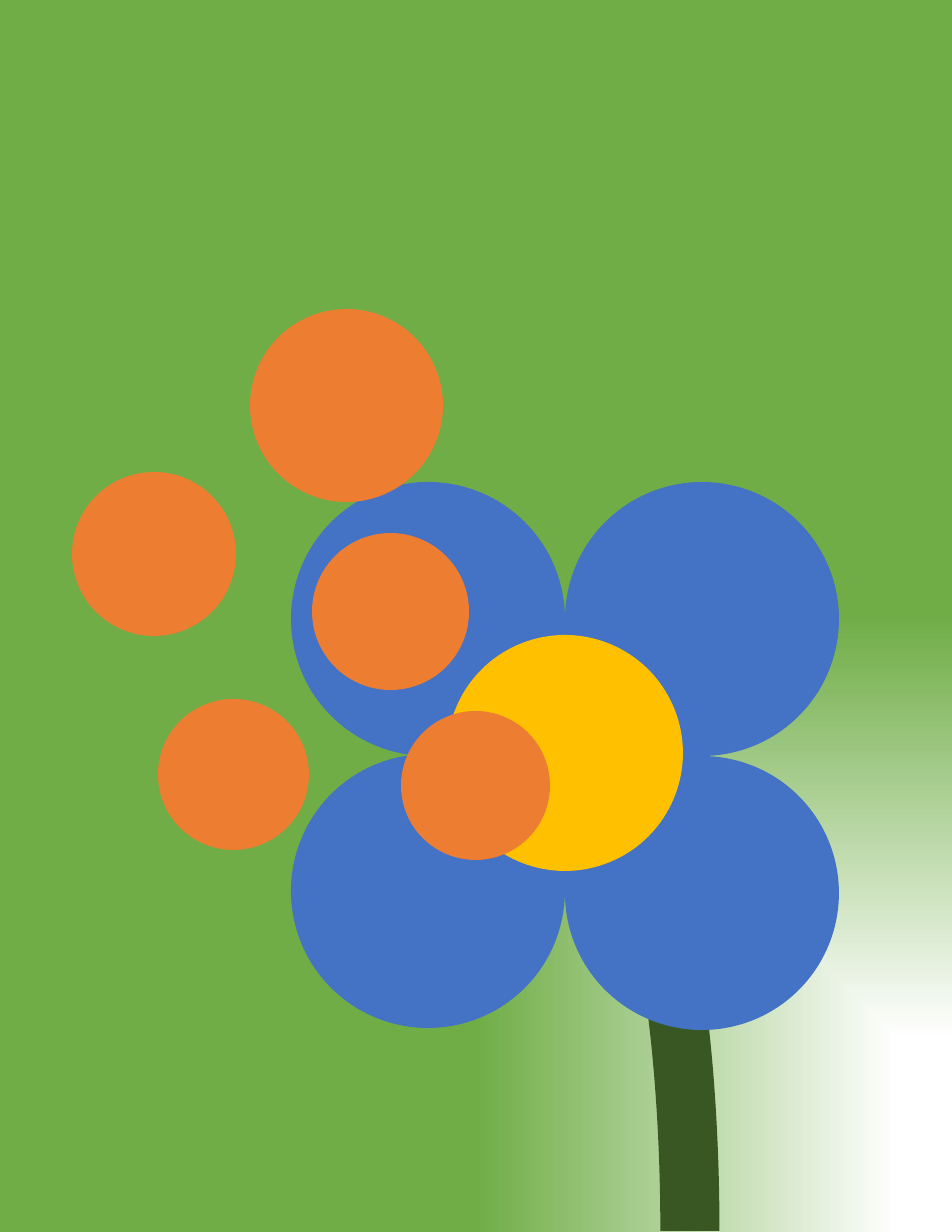
"""Builds a letter-size page with a four-petal flower and drifting orange dots."""
import pptx
import pptx.dml.color
import pptx.enum.shapes
import pptx.oxml
import pptx.oxml.ns
import pptx.util

RGB = pptx.dml.color.RGBColor
PRESET = pptx.enum.shapes.MSO_SHAPE
WHITE = RGB(0xFF, 0xFF, 0xFF)
GRASS = RGB(0x70, 0xAD, 0x47)
STEM_GREEN = RGB(0x38, 0x57, 0x23)
BLUE = RGB(0x44, 0x72, 0xC4)
ORANGE = RGB(0xED, 0x7D, 0x31)
GOLD = RGB(0xFF, 0xC0, 0x00)

PAGE = (952, 1232)
SCALE = 914400 / 112
GLOW_STOPS = [(0, WHITE), (11, WHITE), (100, GRASS)]
STEM_BOX = (513, 805, 177, 852)
STEM_WIDTH = 38
PETAL_SIZE = 274
PETALS = [(291, 754, 0), (565, 482, 180), (291, 482, 90), (565, 756, 270)]
DISCS = [
    (250, 309, 193, ORANGE),
    (447, 635, 236, GOLD),
    (72, 472, 164, ORANGE),
    (158, 699, 151, ORANGE),
    (312, 533, 157, ORANGE),
    (401, 711, 149, ORANGE),
]


def emu(pixels):
    return pptx.util.Emu(round(pixels * SCALE))


def add_part(slide, preset, box, color=None, rotation=0):
    part = slide.shapes.add_shape(preset, *map(emu, box))
    part.shadow.inherit = False
    part.rotation = rotation
    part.line.fill.background()
    if color is None:
        part.fill.background()
    else:
        part.fill.solid()
        part.fill.fore_color.rgb = color
    return part


def paint_glow(slide):
    slide.background.fill.gradient()
    glow = slide.element.find(".//" + pptx.oxml.ns.qn("a:gradFill"))
    stops = "".join(
        f'<a:gs pos="{percent * 1000}"><a:srgbClr val="{color}"/></a:gs>'
        for percent, color in GLOW_STOPS
    )
    glow.getparent().replace(glow, pptx.oxml.parse_xml(
        f'<a:gradFill {pptx.oxml.ns.nsdecls("a")} rotWithShape="1">'
        f'<a:gsLst>{stops}</a:gsLst>'
        '<a:path path="rect"><a:fillToRect l="100000" t="100000"/></a:path>'
        '</a:gradFill>'
    ))


deck = pptx.Presentation()
deck.slide_width, deck.slide_height = map(emu, PAGE)
page = deck.slides.add_slide(deck.slide_layouts[6])
paint_glow(page)

stem = add_part(page, PRESET.ARC, STEM_BOX)
stem.line.color.rgb = STEM_GREEN
stem.line.width = pptx.util.Pt(STEM_WIDTH)

for left, top, rotation in PETALS:
    add_part(page, PRESET.TEAR, (left, top, PETAL_SIZE, PETAL_SIZE), BLUE, rotation)

for left, top, size, color in DISCS:
    add_part(page, PRESET.OVAL, (left, top, size, size), color)

deck.save("out.pptx")
